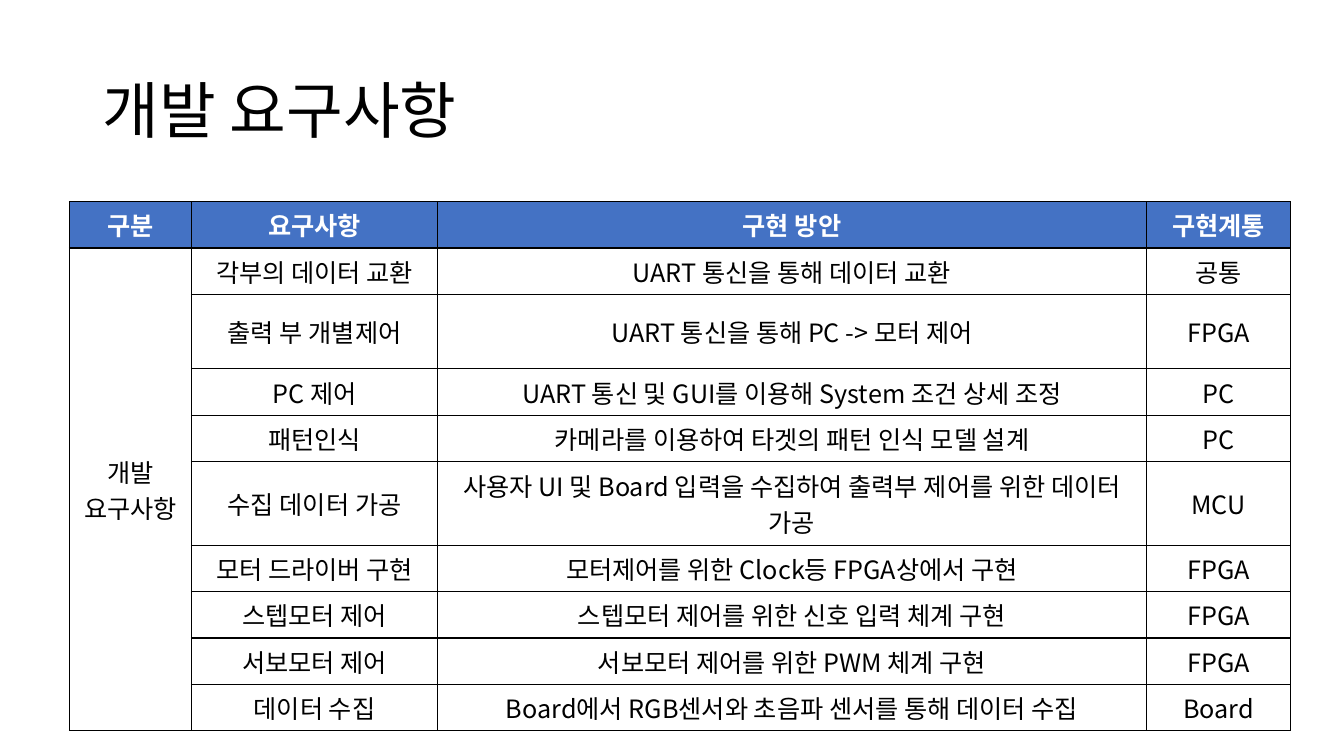
from lxml.etree import SubElement
from pptx import Presentation
from pptx.dml.color import RGBColor
from pptx.enum.text import MSO_ANCHOR, PP_ALIGN
from pptx.oxml.ns import qn
from pptx.util import Inches, Pt

FONT = "Noto Sans CJK KR"
BLACK = RGBColor(0x00, 0x00, 0x00)
WHITE = RGBColor(0xFF, 0xFF, 0xFF)
BLUE = RGBColor(0x44, 0x72, 0xC4)

TITLE = "개발 요구사항"
GROUP = "개발\n요구사항"
HEADER = ("구분", "요구사항", "구현 방안", "구현계통")
REQUIREMENTS = [
    ("각부의 데이터 교환", "UART 통신을 통해 데이터 교환", "공통"),
    ("출력 부 개별제어", "UART 통신을 통해 PC -> 모터 제어", "FPGA"),
    ("PC 제어", "UART 통신 및 GUI를 이용해 System 조건 상세 조정", "PC"),
    ("패턴인식", "카메라를 이용하여 타겟의 패턴 인식 모델 설계", "PC"),
    ("수집 데이터 가공",
     "사용자 UI 및 Board 입력을 수집하여 출력부 제어를 위한 데이터 가공", "MCU"),
    ("모터 드라이버 구현", "모터제어를 위한 Clock등 FPGA상에서 구현", "FPGA"),
    ("스텝모터 제어", "스텝모터 제어를 위한 신호 입력 체계 구현", "FPGA"),
    ("서보모터 제어", "서보모터 제어를 위한 PWM 체계 구현", "FPGA"),
    ("데이터 수집", "Board에서 RGB센서와 초음파 센서를 통해 데이터 수집", "Board"),
]
COLUMN_WIDTHS = (1.21, 2.44, 7.03, 1.43)
ROW_HEIGHT = 0.46
TALL_ROWS = {2: 0.74, 5: 0.83}


def format_text(frame, size, color, bold=False, align=PP_ALIGN.LEFT):
    for para in frame.paragraphs:
        para.alignment = align
        for span in para.runs:
            span.font.size = Pt(size)
            span.font.name = FONT
            span.font.bold = bold
            span.font.color.rgb = color
            # Korean glyphs take the East Asian font
            SubElement(span.font._element, qn("a:ea"), typeface=FONT)


def add_title(page, text):
    box = page.shapes.add_textbox(Inches(0.92), Inches(0.4), Inches(11.5), Inches(1.45))
    frame = box.text_frame
    frame.word_wrap = True
    frame.vertical_anchor = MSO_ANCHOR.MIDDLE
    frame.text = text
    frame.paragraphs[0].line_spacing = 0.9
    format_text(frame, 44, BLACK)


def add_borders(cell):
    properties = cell._tc.get_or_add_tcPr()
    for side in ("a:lnL", "a:lnR", "a:lnT", "a:lnB"):
        line = SubElement(properties, qn(side), w=str(Pt(1)))
        fill = SubElement(line, qn("a:solidFill"))
        SubElement(fill, qn("a:srgbClr"), val=str(BLACK))


def style_cell(cell, text, is_header):
    add_borders(cell)
    cell.fill.solid()
    cell.fill.fore_color.rgb = BLUE if is_header else WHITE
    cell.vertical_anchor = MSO_ANCHOR.MIDDLE
    cell.text_frame.text = text
    format_text(cell.text_frame, 18, WHITE if is_header else BLACK,
                is_header, PP_ALIGN.CENTER)


def add_requirements_table(page):
    # The group label stands only in the first body row
    rows = [HEADER] + [(GROUP if index == 0 else "", *entry)
                       for index, entry in enumerate(REQUIREMENTS)]
    heights = [TALL_ROWS.get(index, ROW_HEIGHT) for index in range(len(rows))]
    table = page.shapes.add_table(
        len(rows), len(HEADER), Inches(0.69), Inches(2),
        Inches(sum(COLUMN_WIDTHS)), Inches(sum(heights))).table
    for column, width in zip(table.columns, COLUMN_WIDTHS):
        column.width = Inches(width)
    for row, height in zip(table.rows, heights):
        row.height = Inches(height)
    for row_index, texts in enumerate(rows):
        for column_index, text in enumerate(texts):
            style_cell(table.cell(row_index, column_index), text, row_index == 0)
    table.cell(1, 0).merge(table.cell(len(rows) - 1, 0))


def main():
    deck = Presentation()
    deck.slide_width = Inches(13.33)
    deck.slide_height = Inches(7.5)
    page = deck.slides.add_slide(deck.slide_layouts[6])
    add_title(page, TITLE)
    add_requirements_table(page)
    deck.save("out.pptx")


main()
